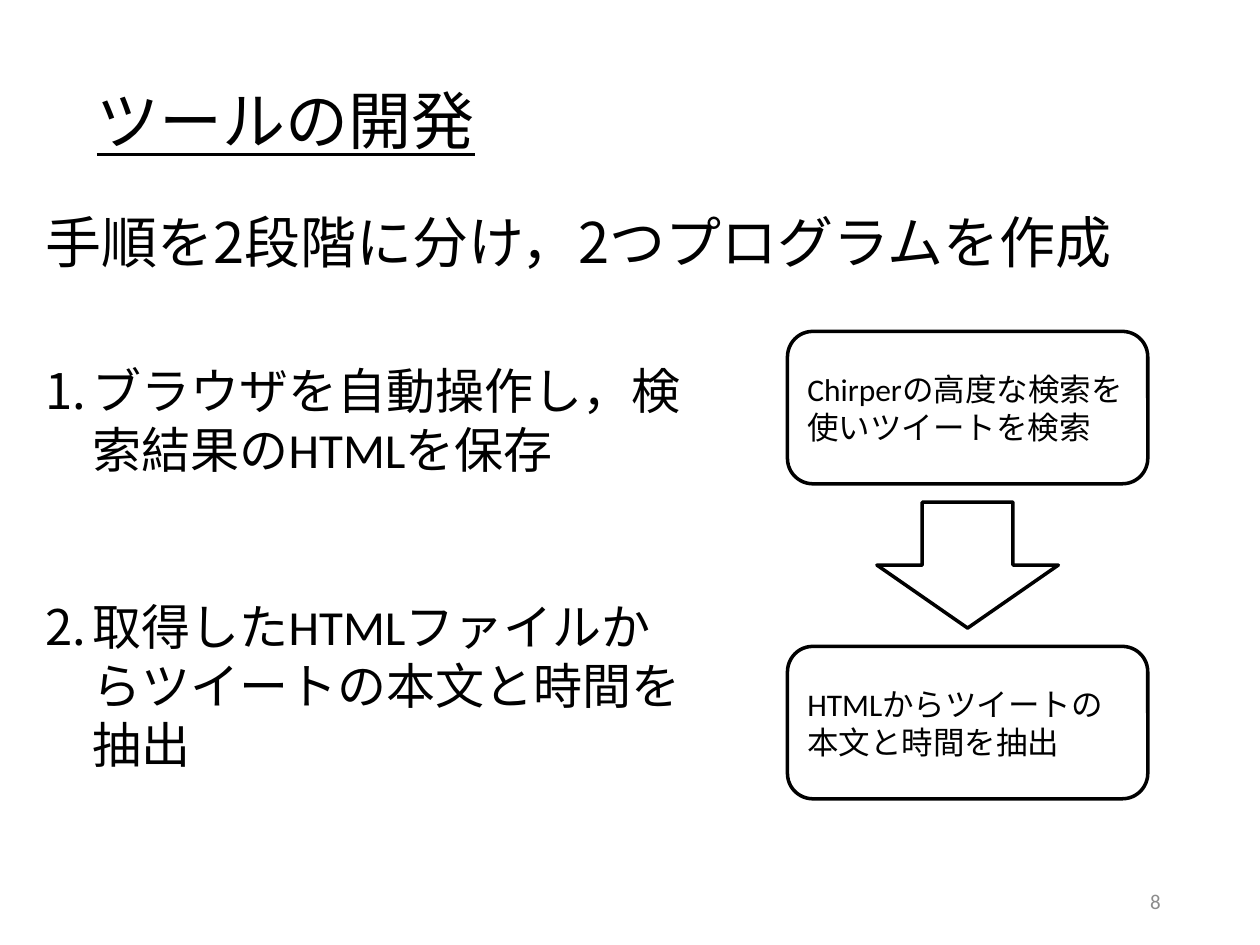
import pptx
import pptx.util
import pptx.dml.color
import pptx.enum.shapes
import pptx.enum.text
import pptx.oxml.ns
from lxml import etree

Inches, Pt = pptx.util.Inches, pptx.util.Pt
SHAPES = pptx.enum.shapes.MSO_SHAPE
ALIGN = pptx.enum.text.PP_ALIGN
ANCHOR = pptx.enum.text.MSO_ANCHOR
qn = pptx.oxml.ns.qn

# Content
TITLE = "ツールの開発"
SUMMARY = "手順を2段階に分け，2つプログラムを作成"
STEPS = [
    "ブラウザを自動操作し，検索結果のHTMLを保存",
    "取得したHTMLファイルからツイートの本文と時間を抽出",
]
FLOW = ["Chirperの高度な検索を使いツイートを検索", "HTMLからツイートの本文と時間を抽出"]
PAGE_NUMBER = "8"

# Style and layout, in inches
LATIN, JAPANESE = "Calibri", "Noto Sans CJK JP"
BLACK, GREY = "000000", "8C8C8C"
SLIDE_W, SLIDE_H = 10, 7.5
LEFT = 0.26
FLOW_LEFT, FLOW_TOP, FLOW_PITCH = 6.25, 2.63, 2.5
BOX_W, BOX_H = 2.86, 1.21
ARROW_W, ARROW_H = 1.44, 1
NUMBER_INDENT = 0.38
STEP_GAP = 68  # points, two lines of step text


def color(hex_string):
    return pptx.dml.color.RGBColor.from_string(hex_string)


def write(frame, paragraphs, size, font=LATIN, ink=BLACK, align=ALIGN.LEFT,
          anchor=ANCHOR.TOP, underline=False, numbered=False):
    frame.word_wrap = True
    frame.vertical_anchor = anchor
    for i, text in enumerate(paragraphs):
        paragraph = frame.paragraphs[0] if i == 0 else frame.add_paragraph()
        paragraph.text = text
        paragraph.alignment = align
        properties = paragraph._p.get_or_add_pPr()
        if numbered:
            properties.set("marL", str(Inches(NUMBER_INDENT)))
            properties.set("indent", str(-Inches(NUMBER_INDENT)))
            etree.SubElement(properties, qn("a:buAutoNum"), type="arabicPeriod")
            paragraph.space_before = Pt(STEP_GAP if i else 0)
        paragraph.font.size = Pt(size)
        paragraph.font.name = font
        paragraph.font.underline = underline
        paragraph.font.color.rgb = color(ink)
        etree.SubElement(properties.find(qn("a:defRPr")), qn("a:ea"), typeface=JAPANESE)


def add_text(slide, area, paragraphs, size, **style):
    box = slide.shapes.add_textbox(*map(Inches, area))
    write(box.text_frame, paragraphs, size, **style)


def add_outline(slide, kind, area):
    outline = slide.shapes.add_shape(kind, *map(Inches, area))
    outline.shadow.inherit = False
    outline.fill.background()
    outline.line.color.rgb = color(BLACK)
    outline.line.width = Pt(2)
    return outline


def main():
    deck = pptx.Presentation()
    deck.slide_width, deck.slide_height = Inches(SLIDE_W), Inches(SLIDE_H)
    slide = deck.slides.add_slide(deck.slide_layouts[6])

    # Title, summary and numbered steps
    add_text(slide, (0.67, 0.6, 5.37, 0.71), [TITLE], 36, font=JAPANESE, underline=True)
    add_text(slide, (LEFT, 1.6, 9.6, 0.64), [SUMMARY], 32, font=JAPANESE)
    add_text(slide, (LEFT, 2.81, 5.26, 2.93), STEPS, 28, numbered=True)

    # Flow boxes, with an arrow centred in each gap
    for i, label in enumerate(FLOW):
        top = FLOW_TOP + i * FLOW_PITCH
        box = add_outline(slide, SHAPES.ROUNDED_RECTANGLE, (FLOW_LEFT, top, BOX_W, BOX_H))
        write(box.text_frame, [label], 18, anchor=ANCHOR.MIDDLE)
        if i:
            arrow_left = FLOW_LEFT + (BOX_W - ARROW_W) / 2
            arrow_top = top - (FLOW_PITCH - BOX_H + ARROW_H) / 2
            add_outline(slide, SHAPES.DOWN_ARROW, (arrow_left, arrow_top, ARROW_W, ARROW_H))

    # Page number
    add_text(slide, (7.06, 6.95, 2.25, 0.4), [PAGE_NUMBER], 12, ink=GREY,
             align=ALIGN.RIGHT, anchor=ANCHOR.MIDDLE)

    deck.save("out.pptx")


if __name__ == "__main__":
    main()
